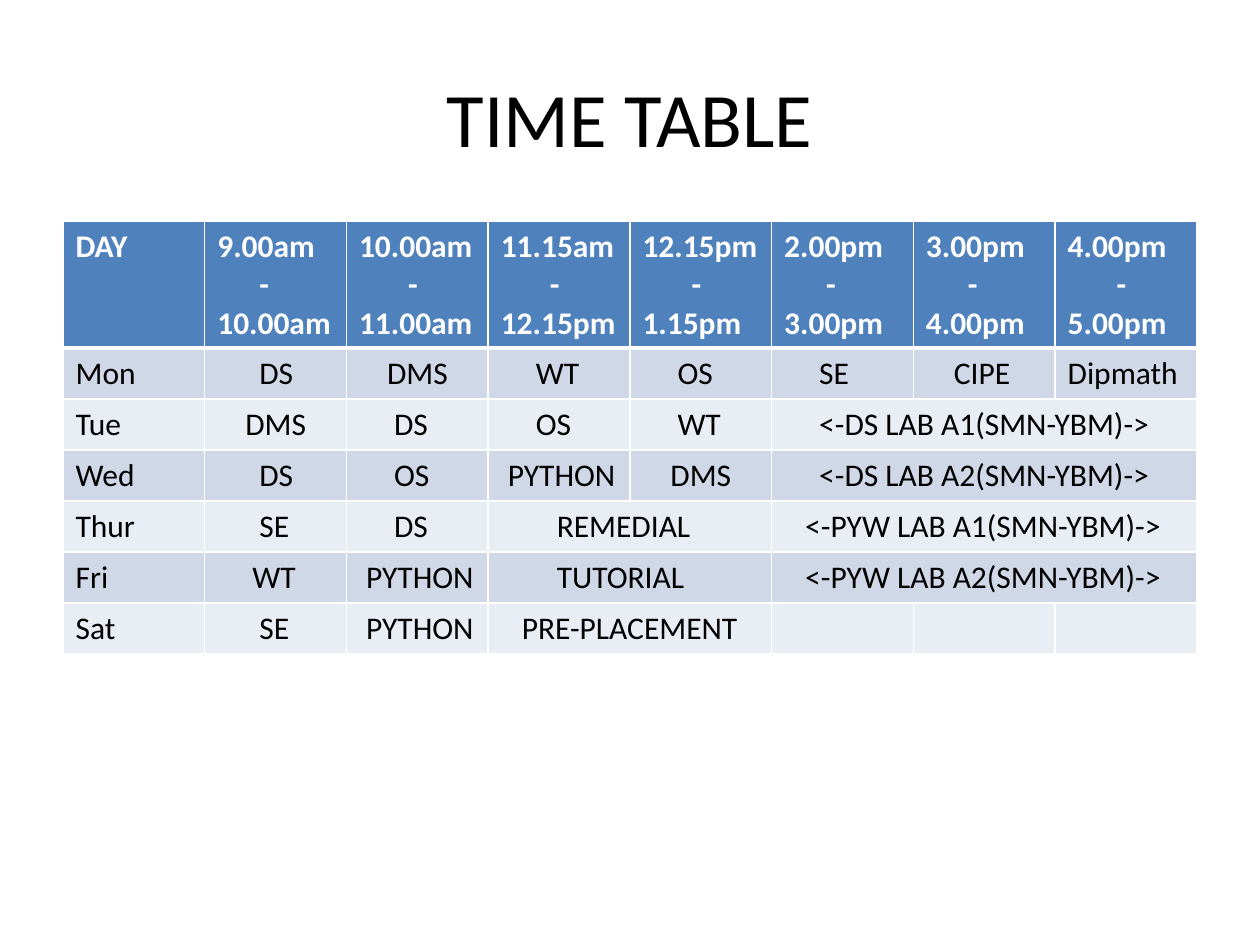
import pptx
import pptx.dml.color
import pptx.enum.text
import pptx.oxml
import pptx.oxml.ns
import pptx.util

EMU_PER_PX = 914400 / 126
INDENT_STEP = 7
HEADER_HEIGHT = 127
ROW_HEIGHT = 51
FONT = "Calibri"
WHITE, BLACK, BLUE = "FFFFFF", "000000", "4F81BD"
BANDS = ("D0D8E8", "E9EDF4")

PERIODS = [
    ("9.00am", 6, "10.00am"), ("10.00am", 7, "11.00am"),
    ("11.15am", 7, "12.15pm"), ("12.15pm", 7, "1.15pm"),
    ("2.00pm", 6, "3.00pm"), ("3.00pm", 6, "4.00pm"), ("4.00pm", 7, "5.00pm"),
]
# Each lesson: text, indent steps, columns spanned
DAYS = [
    ("Mon", [("DS", 6, 1), ("DMS", 4, 1), ("WT", 5, 1), ("OS", 5, 1),
             ("SE", 5, 1), ("CIPE", 4, 1), ("Dipmath", 0, 1)]),
    ("Tue", [("DMS", 4, 1), ("DS", 5, 1), ("OS", 5, 1), ("WT", 5, 1),
             ("<-DS LAB A1(SMN-YBM)->", 5, 3)]),
    ("Wed", [("DS", 6, 1), ("OS", 5, 1), ("PYTHON", 1, 1), ("DMS", 4, 1),
             ("<-DS LAB A2(SMN-YBM)->", 5, 3)]),
    ("Thur", [("SE", 6, 1), ("DS", 5, 1), ("REMEDIAL", 8, 2),
              ("<-PYW LAB A1(SMN-YBM)->", 3, 3)]),
    ("Fri", [("WT", 5, 1), ("PYTHON", 1, 1), ("TUTORIAL", 8, 2),
             ("<-PYW LAB A2(SMN-YBM)->", 3, 3)]),
    ("Sat", [("SE", 6, 1), ("PYTHON", 1, 1), ("PRE-PLACEMENT", 3, 2)]),
]


def px(length):
    return pptx.util.Emu(round(length * EMU_PER_PX))


def color(value):
    return pptx.dml.color.RGBColor.from_string(value)


def format_font(font, size, value, bold=False):
    font.name = FONT
    font.size = pptx.util.Pt(size)
    font.bold = bold
    font.color.rgb = color(value)


def add_title(slide, left, top, width, height):
    shape = slide.shapes.add_textbox(px(left), px(top), px(width), px(height))
    frame = shape.text_frame
    frame.word_wrap = True
    frame.vertical_anchor = pptx.enum.text.MSO_ANCHOR.MIDDLE
    frame.text = "TIME TABLE"
    paragraph = frame.paragraphs[0]
    paragraph.alignment = pptx.enum.text.PP_ALIGN.CENTER
    format_font(paragraph.runs[0].font, 44, BLACK)


def style_cell(cell, fill, bottom_width):
    properties = cell._tc.get_or_add_tcPr()
    for side, points in (("L", 1), ("R", 1), ("T", 1), ("B", bottom_width)):
        properties.append(pptx.oxml.parse_xml(
            f'<a:ln{side} {pptx.oxml.ns.nsdecls("a")} w="{pptx.util.Pt(points)}">'
            f'<a:solidFill><a:srgbClr val="{WHITE}"/></a:solidFill></a:ln{side}>'))
    cell.fill.solid()
    cell.fill.fore_color.rgb = color(fill)


def write_cell(cell, lines, value, bold=False):
    cell.text_frame.text = "\n".join(text for text, steps in lines)
    for paragraph, (text, steps) in zip(cell.text_frame.paragraphs, lines):
        paragraph._p.get_or_add_pPr().set("marL", str(px(steps * INDENT_STEP)))
        format_font(paragraph.runs[0].font, 18, value, bold)


def add_timetable(slide, left, top, width):
    height = HEADER_HEIGHT + ROW_HEIGHT * len(DAYS)
    column_count = len(PERIODS) + 1
    table = slide.shapes.add_table(len(DAYS) + 1, column_count, px(left), px(top),
                                   px(width), px(height)).table
    table.first_row = table.horz_banding = False
    for column in table.columns:
        column.width = px(width / column_count)
    for index, row in enumerate(table.rows):
        row.height = px(ROW_HEIGHT if index else HEADER_HEIGHT)
        for cell in row.cells:
            style_cell(cell, BANDS[(index - 1) % 2] if index else BLUE, 1 if index else 3)

    write_cell(table.cell(0, 0), [("DAY", 0)], WHITE, True)
    for column, (start, steps, end) in enumerate(PERIODS, 1):
        write_cell(table.cell(0, column), [(start, 0), ("-", steps), (end, 0)], WHITE, True)

    for row, (day, lessons) in enumerate(DAYS, 1):
        write_cell(table.cell(row, 0), [(day, 0)], BLACK)
        column = 1
        for text, steps, span in lessons:
            cell = table.cell(row, column)
            if span > 1:
                cell.merge(table.cell(row, column + span - 1))
            write_cell(cell, [(text, steps)], BLACK)
            column += span


def main():
    presentation = pptx.Presentation()
    presentation.slide_width = px(1260)
    presentation.slide_height = px(945)
    slide = presentation.slides.add_slide(presentation.slide_layouts[6])
    add_title(slide, 63, 38, 1134, 157)
    add_timetable(slide, 63, 221, 1134)
    presentation.save("out.pptx")


if __name__ == "__main__":
    main()
